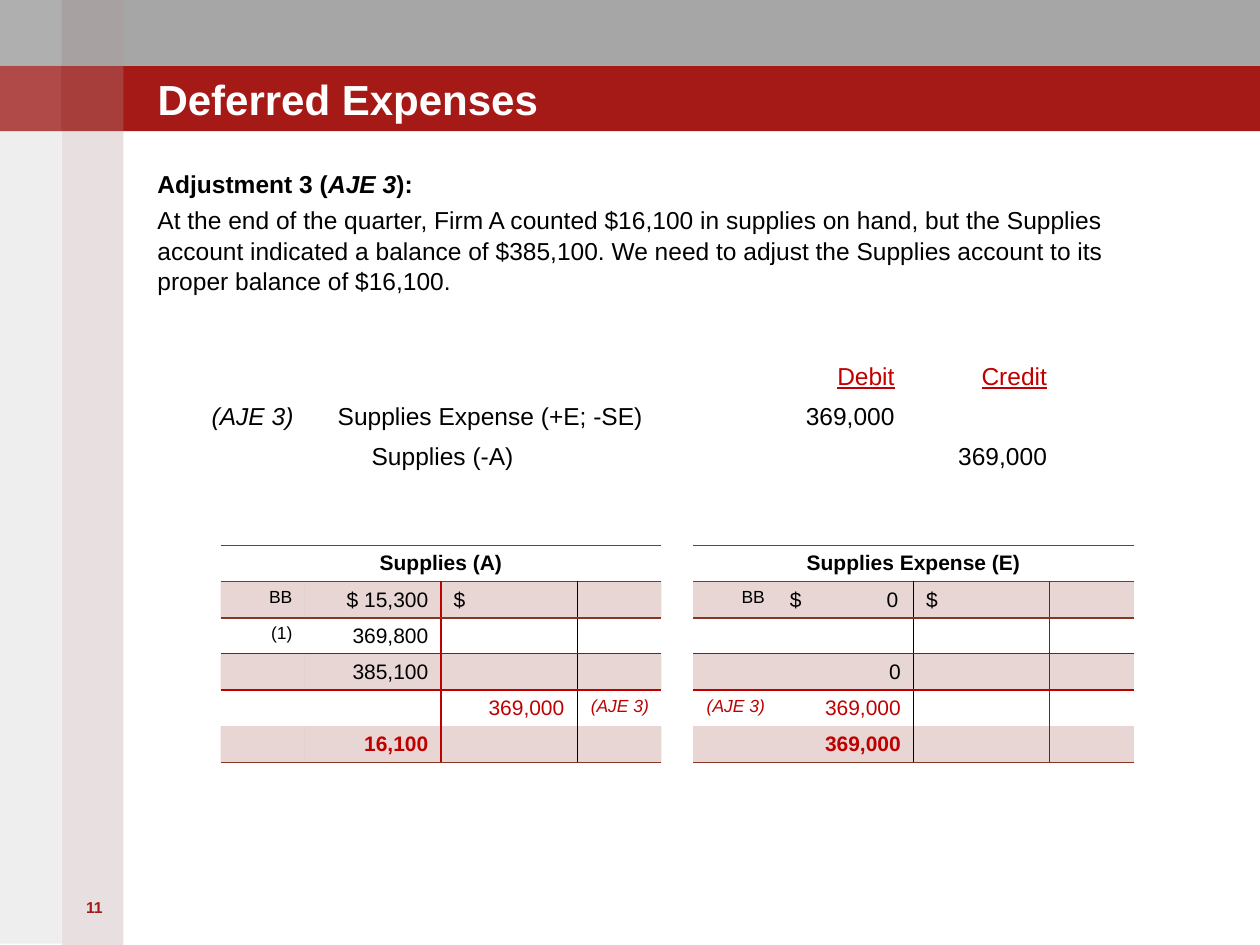
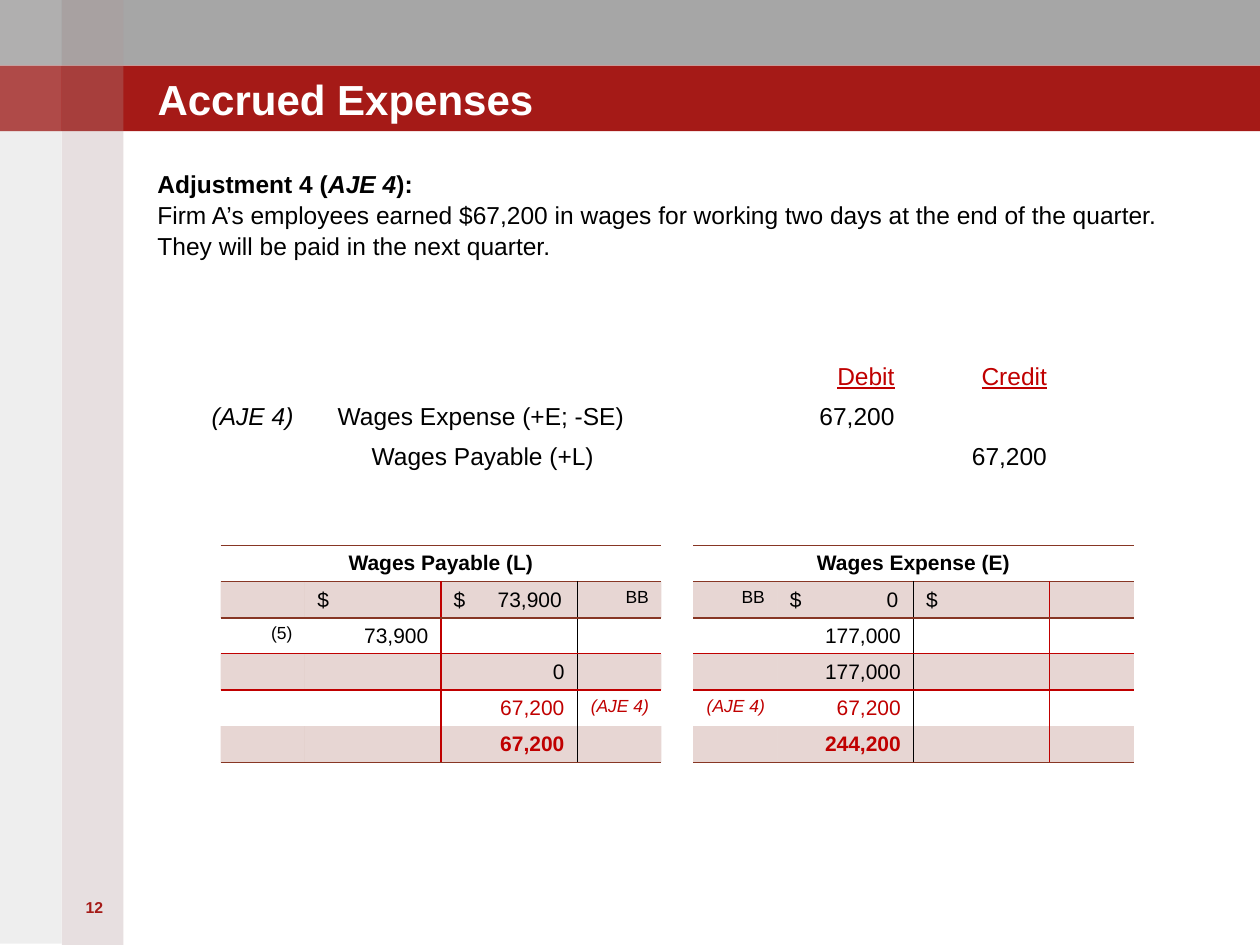
from lxml.etree import SubElement
from pptx import Presentation
from pptx.dml.color import RGBColor
from pptx.enum.shapes import MSO_SHAPE
from pptx.enum.text import MSO_ANCHOR, PP_ALIGN
from pptx.oxml.ns import qn
from pptx.util import Inches, Pt

# Colours and font
BLACK = RGBColor(0x00, 0x00, 0x00)
WHITE = RGBColor(0xFF, 0xFF, 0xFF)
GRAY = RGBColor(0xA6, 0xA6, 0xA6)
CRIMSON = RGBColor(0xA5, 0x1A, 0x17)
MAUVE = RGBColor(0xA0, 0x82, 0x84)
WARM_GRAY = RGBColor(0x93, 0x8F, 0x8F)
RED = RGBColor(0xC0, 0x00, 0x00)
BROWN = RGBColor(0x87, 0x36, 0x24)
FONT = "Arial"
NO_STYLE = "{2D5ABB26-0587-4C30-8999-92F81FD0307C}"

# Content: account rows hold left reference, debit, credit, right reference
SLIDES = [
    {
        "number": "11",
        "title": "Deferred Expenses",
        "heading": ("Adjustment 3 (", "AJE 3", "):"),
        "explanation": "At the end of the quarter, Firm A counted $16,100 in supplies "
                       "on hand, but the Supplies account indicated a balance of "
                       "$385,100. We need to adjust the Supplies account to its "
                       "proper balance of $16,100.",
        "space_before": 2.8,
        "entry": ("(AJE 3)", "Supplies Expense (+E; -SE)", "Supplies (-A)", "369,000"),
        "accounts": [
            ("Supplies (A)", [
                ("BB", "$ 15,300", "$", ""),
                ("(1)", "369,800", "", ""),
                ("", "385,100", "", ""),
                ("", "", "369,000", "(AJE 3)"),
                ("", "16,100", "", ""),
            ]),
            ("Supplies Expense (E)", [
                ("BB", "$\t0", "$", ""),
                ("", "", "", ""),
                ("", "0", "", ""),
                ("(AJE 3)", "369,000", "", ""),
                ("", "369,000", "", ""),
            ]),
        ],
    },
    {
        "number": "12",
        "title": "Accrued Expenses",
        "heading": ("Adjustment 4 (", "AJE 4", "):"),
        "explanation": "Firm A’s employees earned $67,200 in wages for working two days "
                       "at the end of the quarter. They will be paid in the next quarter.",
        "space_before": 0,
        "entry": ("(AJE 4)", "Wages Expense (+E; -SE)", "Wages Payable (+L)", "67,200"),
        "accounts": [
            ("Wages Payable (L)", [
                ("", "$", "$\t73,900", "BB"),
                ("(5)", "73,900", "", ""),
                ("", "", "0", ""),
                ("", "", "67,200", "(AJE 4)"),
                ("", "", "67,200", ""),
            ]),
            ("Wages Expense (E)", [
                ("BB", "$\t0", "$", ""),
                ("", "177,000", "", ""),
                ("", "177,000", "", ""),
                ("(AJE 4)", "67,200", "", ""),
                ("", "244,200", "", ""),
            ]),
        ],
    },
]

# Layout bands: left, top, width, height, colour, opacity in percent
STRIP, BAND = 0.49, 0.52
BANDS = [
    (0, 0, 10, BAND, GRAY, 100),
    (0, BAND, 10, BAND, CRIMSON, 100),
    (STRIP, 0, STRIP, 7.5, MAUVE, 25),
    (0, 0, STRIP, 7.49, WARM_GRAY, 15),
] + [(left, top, STRIP, BAND, WHITE, opacity)
     for top in (0, BAND) for left, opacity in ((STRIP, 5), (0, 15))]

ENTRY_COLUMNS = (1, 3.62, 1, 1.21)
ACCOUNT_COLUMNS = (0.67, 1.08, 1.08, 0.67)
ACCOUNT_LEFTS = (1.75, 5.5)
# Line to the right of the debit and of the credit column, per account
ACCOUNT_RULES = (((RED, 1.25), (BLACK, 0.5)), ((BLACK, 0.5), (RED, 1.25)))


def set_opacity(element, percent):
    colour = element.find(".//" + qn("a:srgbClr"))
    SubElement(colour, qn("a:alpha")).set("val", str(percent * 1000))


def add_run(paragraph, text, size, colour=BLACK, bold=False, italic=False, underline=False):
    run = paragraph.add_run()
    run.text = text
    font = run.font
    font.name, font.size = FONT, Pt(size)
    font.bold, font.italic, font.underline = bold, italic, underline
    font.color.rgb = colour


def add_text_box(slide, left, top, width, height):
    frame = slide.shapes.add_textbox(*map(Inches, (left, top, width, height))).text_frame
    frame.word_wrap = True
    return frame


def clear_margins(frame):
    frame.margin_left = frame.margin_right = frame.margin_top = frame.margin_bottom = 0


def add_bands(slide, layout):
    """Draw the bands and move them to the shared layout."""
    for position, (left, top, width, height, colour, opacity) in enumerate(BANDS):
        band = slide.shapes.add_shape(
            MSO_SHAPE.RECTANGLE, *map(Inches, (left, top, width, height)))
        band.shadow.inherit = False
        band.fill.solid()
        band.fill.fore_color.rgb = colour
        band.line.fill.background()
        if opacity < 100:
            set_opacity(band._element.spPr, opacity)
        layout.shapes._spTree.insert(2 + position, band._element)


def add_plain_table(slide, left, top, columns, row_count, row_height, size):
    frame = slide.shapes.add_table(
        row_count, len(columns), Inches(left), Inches(top),
        Inches(sum(columns)), Inches(row_height * row_count))
    table = frame.table
    table.first_row = table.horz_banding = False
    table._tbl.tblPr.find(qn("a:tableStyleId")).text = NO_STYLE
    for column, width in zip(table.columns, columns):
        column.width = Inches(width)
    for row in table.rows:
        row.height = Inches(row_height)
    for cell in table.iter_cells():
        cell.margin_bottom = Inches(0.03)
        cell.fill.background()
        end = cell.text_frame.paragraphs[0]._p.get_or_add_endParaRPr()
        end.set("sz", str(size * 100))
    return table


def write_cell(cell, text, size, align=PP_ALIGN.RIGHT, **style):
    paragraph = cell.text_frame.paragraphs[0]
    paragraph.alignment = align
    if "\t" in text:
        stops = SubElement(paragraph._p.get_or_add_pPr(), qn("a:tabLst"))
        SubElement(stops, qn("a:tab"), pos=str(Inches(0.86)), algn="r")
    if text:
        add_run(paragraph, text, size, **style)


def set_borders(cell, borders):
    """Put the lines, keyed by side, ahead of the fill in schema order."""
    properties = cell._tc.get_or_add_tcPr()
    sides = [side for side in "LRTB" if side in borders]
    for position, side in enumerate(sides):
        colour, width = borders[side]
        line = SubElement(properties, qn("a:ln" + side), w=str(Pt(width)))
        fill = SubElement(line, qn("a:solidFill"))
        SubElement(fill, qn("a:srgbClr"), val=str(colour))
        properties.insert(position, line)


def add_entry(slide, reference, debit_account, credit_account, amount):
    table = add_plain_table(slide, 1.58, 2.83, ENTRY_COLUMNS, 3, 0.32, 14)
    for column, heading in ((2, "Debit"), (3, "Credit")):
        write_cell(table.cell(0, column), heading, 14, colour=RED, underline=True)
    write_cell(table.cell(1, 0), reference, 14, PP_ALIGN.LEFT, italic=True)
    write_cell(table.cell(1, 1), debit_account, 14, PP_ALIGN.LEFT)
    write_cell(table.cell(2, 1), credit_account, 14, PP_ALIGN.LEFT)
    table.cell(2, 1).margin_left = Inches(0.37)
    write_cell(table.cell(1, 2), amount, 14)
    write_cell(table.cell(2, 3), amount, 14)


def add_account(slide, left, name, rows, rules):
    table = add_plain_table(slide, left, 4.33, ACCOUNT_COLUMNS, 6, 1.72 / 6, 12)
    table.cell(0, 0).merge(table.cell(0, 3))
    write_cell(table.cell(0, 0), name, 12, PP_ALIGN.CENTER, bold=True)
    frame_line, balance_line = (BROWN, 1), (RED, 0.75)
    above = {0: frame_line, 1: frame_line, 3: balance_line}
    below = {0: frame_line, 2: balance_line, 5: frame_line}

    for r in range(6):
        for c in range(4):
            cell = table.cell(r, c)
            if r:
                text = rows[r - 1][c]
                dollar_left = text == "$" or "\t" in text
                write_cell(cell, text, 10 if c in (0, 3) else 12,
                           PP_ALIGN.LEFT if dollar_left else PP_ALIGN.RIGHT,
                           colour=RED if r >= 4 else BLACK,
                           bold=r == 5, italic=text.startswith("(AJE"))
            if r % 2:
                cell.fill.solid()
                cell.fill.fore_color.rgb = BROWN
                set_opacity(cell._tc.tcPr, 20)
            borders = {}
            if r in above:
                borders["T"] = above[r]
            if r in below:
                borders["B"] = below[r]
            if r and c in (1, 2):
                borders["R"] = rules[c - 1]
            if r and c in (2, 3):
                borders["L"] = rules[c - 2]
            set_borders(cell, borders)


def add_adjustment(slide, content):
    # Title and slide number
    title = slide.shapes.title
    title.left, title.top, title.width, title.height = map(Inches, (1.25, 0.31, 8.25, 0.67))
    clear_margins(title.text_frame)
    title.text_frame.vertical_anchor = MSO_ANCHOR.BOTTOM
    heading = title.text_frame.paragraphs[0]
    heading.alignment = PP_ALIGN.LEFT
    add_run(heading, content["title"], 24, WHITE, bold=True)

    number = add_text_box(slide, 0.5, 7.08, 0.5, 0.3).paragraphs[0]
    number.alignment = PP_ALIGN.CENTER
    add_run(number, content["number"], 9, CRIMSON, bold=True)

    # Explanation
    body = add_text_box(slide, 1.25, 1.33, 8, 1.3)
    clear_margins(body)
    adjustment, explanation = body.paragraphs[0], body.add_paragraph()
    for position, part in enumerate(content["heading"]):
        add_run(adjustment, part, 14, bold=True, italic=position == 1)
    add_run(explanation, content["explanation"], 14)
    explanation.space_before = Pt(content["space_before"])
    for paragraph in body.paragraphs:
        paragraph.line_spacing = 1.05

    # Journal entry and T-accounts
    add_entry(slide, *content["entry"])
    for left, (name, rows), rules in zip(ACCOUNT_LEFTS, content["accounts"], ACCOUNT_RULES):
        add_account(slide, left, name, rows, rules)


def main():
    deck = Presentation()
    deck.slide_width, deck.slide_height = Inches(10), Inches(7.5)
    layout = deck.slide_layouts[5]
    for position, content in enumerate(SLIDES):
        slide = deck.slides.add_slide(layout)
        if position == 0:
            add_bands(slide, layout)
        add_adjustment(slide, content)
    deck.save("out.pptx")


if __name__ == "__main__":
    main()
